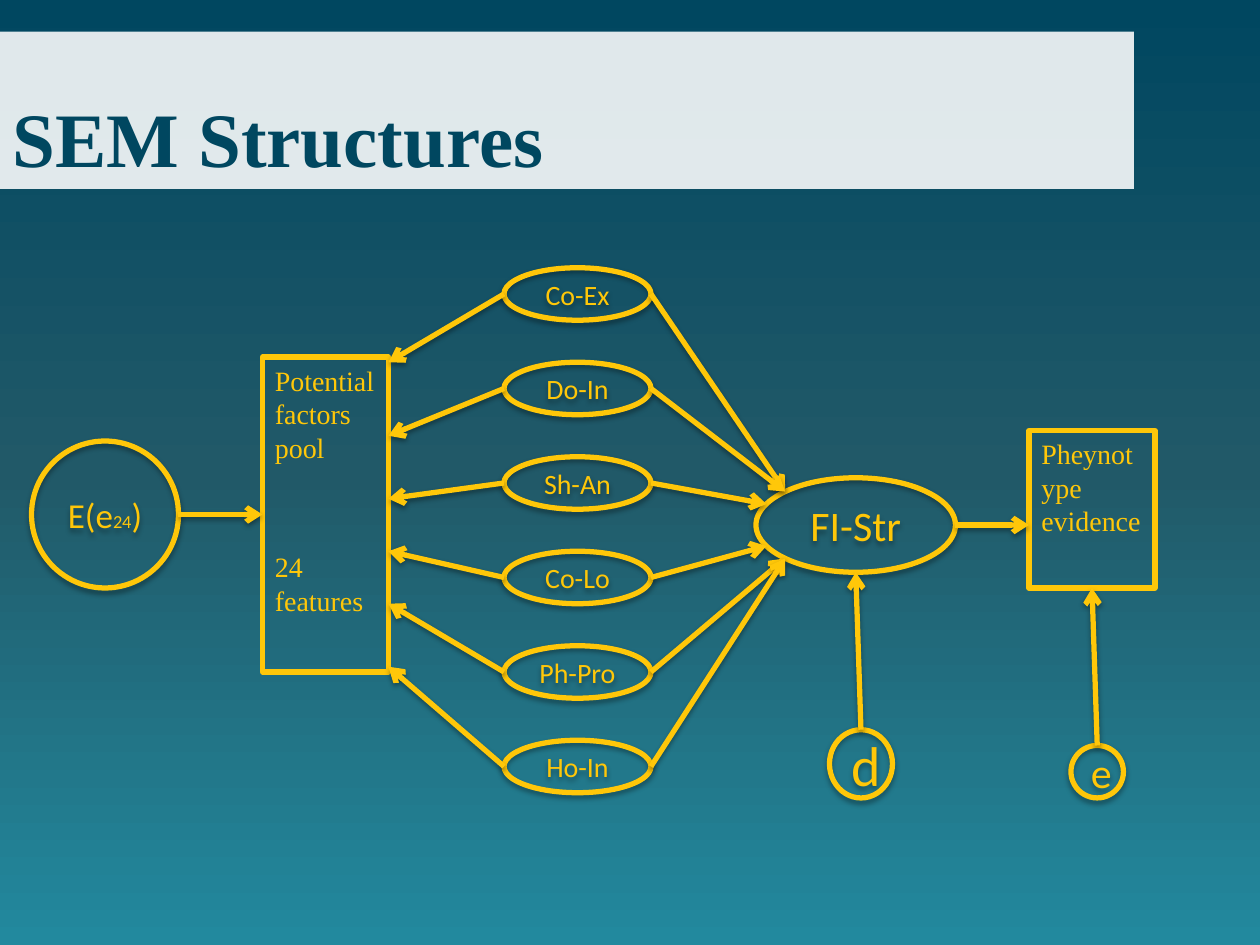
"""Build the SEM Structures path diagram slide."""
from copy import deepcopy
from lxml import etree
from pptx import Presentation
from pptx.dml.color import RGBColor
from pptx.enum import shapes, text
from pptx.oxml import ns
from pptx.util import Pt

COLORS = {"gold": "FFC709", "navy": "004760", "teal": "215968",
          "aqua": "22899E", "white": "FFFFFF", "black": "000000"}
SERIF, SANS = "Times New Roman", "Calibri"
CENTER, JUSTIFY = text.PP_ALIGN.CENTER, text.PP_ALIGN.JUSTIFY

TITLE = ("SEM Structures", (0, 18, 648, 90))
BOXES = [
    (["Potential factors pool", "24 features"], (150, 204, 72, 180)),
    (["Pheynotype evidence"], (588, 246, 72, 90)),
]
NODES = [
    ([("E(e", 20), ("24", 10.5), (")", 20)], (18, 252, 84, 84), CENTER),
    ([("FI-Str", 24)], (432, 273, 114, 54), CENTER),
    ([("d", 32)], (474, 417, 36, 39), CENTER),
    ([("e", 24)], (612, 426, 30, 30), JUSTIFY),
]
FACTORS = [
    ("Co-Ex", 207, (448.7, 280.9)),
    ("Do-In", 249, (448.7, 280.9)),
    ("Sh-An", 285, (438, 288)),
    ("Co-Lo", 315, (438, 312)),
    ("Ph-Pro", 345, (448.7, 319.1)),
    ("Ho-In", 381, (448.7, 319.1)),
]
FACTOR_LEFT, FACTOR_TOP, FACTOR_W, FACTOR_H, FACTOR_PITCH = 288, 153, 84, 30, 54
POOL_RIGHT = 222
ARROWS = [
    ((102, 294), (150, 294)),
    ((546, 300), (588, 300)),
    ((492, 417), (489, 327)),
    ((627, 426), (624, 336)),
]


def rgb(name):
    return RGBColor.from_string(COLORS[name])


def add_xml(parent, tag, **attrs):
    return etree.SubElement(parent, ns.qn(tag), attrs)


def add_shadow(sp, dist, alpha):
    effects = add_xml(sp._element.spPr, "a:effectLst")
    shadow = add_xml(effects, "a:outerShdw", blurRad=str(Pt(3.1)),
                     dist=str(Pt(dist)), dir="5400000", rotWithShape="0")
    color = add_xml(shadow, "a:srgbClr", val=COLORS["black"])
    add_xml(color, "a:alpha", val=str(alpha * 1000))


def add_shape(kind, box, anchor):
    sp = s.shapes.add_shape(kind, *map(Pt, box))
    sp.fill.background()
    sp.line.color.rgb = rgb("gold")
    sp.line.width = Pt(3)
    tf = sp.text_frame
    tf.word_wrap = True
    tf.vertical_anchor = anchor
    return sp


def style(r, size, font, color="gold"):
    r.font.size = Pt(size)
    r.font.name = font
    r.font.color.rgb = rgb(color)


def add_box(paragraphs, box):
    sp = add_shape(shapes.MSO_SHAPE.RECTANGLE, box, text.MSO_ANCHOR.TOP)
    sp.shadow.inherit = False
    tf = sp.text_frame
    tf.text = "\n".join(paragraphs)
    for i, p in enumerate(tf.paragraphs):
        p.alignment = text.PP_ALIGN.LEFT
        p.space_before = Pt(49 if i else 3.2)
        style(p.runs[0], 16, SERIF)


def add_node(runs, box, align=CENTER):
    sp = add_shape(shapes.MSO_SHAPE.OVAL, box, text.MSO_ANCHOR.MIDDLE)
    add_shadow(sp, 1.8, 35)
    p = sp.text_frame.paragraphs[0]
    p.alignment = align
    for words, size in runs:
        r = p.add_run()
        r.text = words
        style(r, size, SANS)


def add_arrow(start, end):
    c = s.shapes.add_connector(shapes.MSO_CONNECTOR.STRAIGHT, *map(Pt, start + end))
    c.line.color.rgb = rgb("gold")
    c.line.width = Pt(3)
    add_xml(c.line._get_or_add_ln(), "a:tailEnd", type="arrow")
    add_shadow(c, 1.6, 38)


def add_background():
    fill = s.background.fill
    fill.gradient()
    fill.gradient_angle = 270
    first = fill.gradient_stops[0]._gs
    first.addnext(deepcopy(first))
    for stop, name, position in zip(fill.gradient_stops, ("navy", "teal", "aqua"), (0, 0.5, 1)):
        stop.color.rgb = rgb(name)
        stop.position = position


def add_title(words, box):
    sp = add_shape(shapes.MSO_SHAPE.RECTANGLE, box, text.MSO_ANCHOR.BOTTOM)
    sp.shadow.inherit = False
    sp.line.fill.background()
    sp.fill.solid()
    sp.fill.fore_color.rgb = rgb("white")
    color = sp._element.spPr.find(".//" + ns.qn("a:srgbClr"))
    add_xml(color, "a:alpha", val="88000")
    sp.text_frame.text = words
    p = sp.text_frame.paragraphs[0]
    p.alignment = text.PP_ALIGN.LEFT
    style(p.runs[0], 44, SERIF, "navy")
    p.runs[0].font.bold = True


prs = Presentation()
prs.slide_width, prs.slide_height = Pt(720), Pt(540)
s = prs.slides.add_slide(prs.slide_layouts[6])
add_background()
add_title(*TITLE)
for box in BOXES:
    add_box(*box)
for node in NODES:
    add_node(*node)
for i, (name, pool_y, target) in enumerate(FACTORS):
    top = FACTOR_TOP + i * FACTOR_PITCH
    middle = top + FACTOR_H / 2
    add_node([(name, 16)], (FACTOR_LEFT, top, FACTOR_W, FACTOR_H))
    add_arrow((FACTOR_LEFT, middle), (POOL_RIGHT, pool_y))
    add_arrow((FACTOR_LEFT + FACTOR_W, middle), target)
for arrow in ARROWS:
    add_arrow(*arrow)
prs.save("out.pptx")
